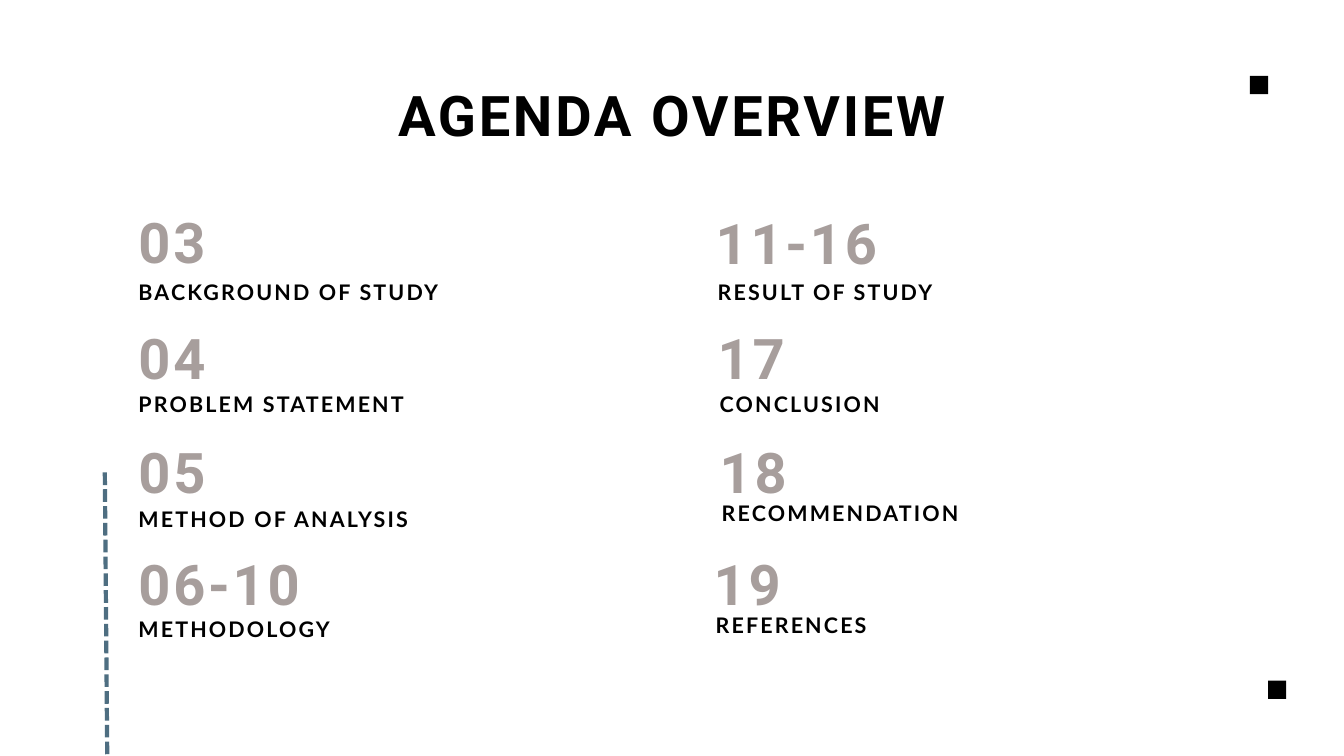
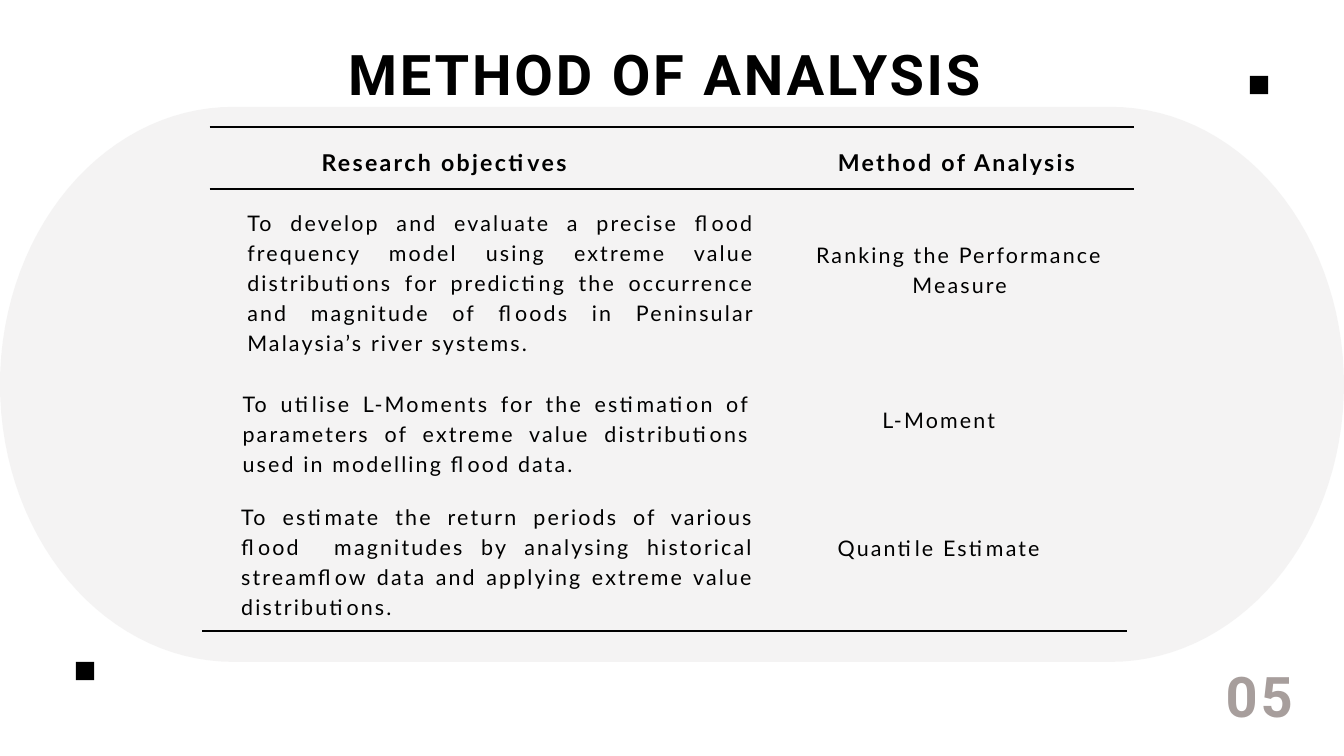
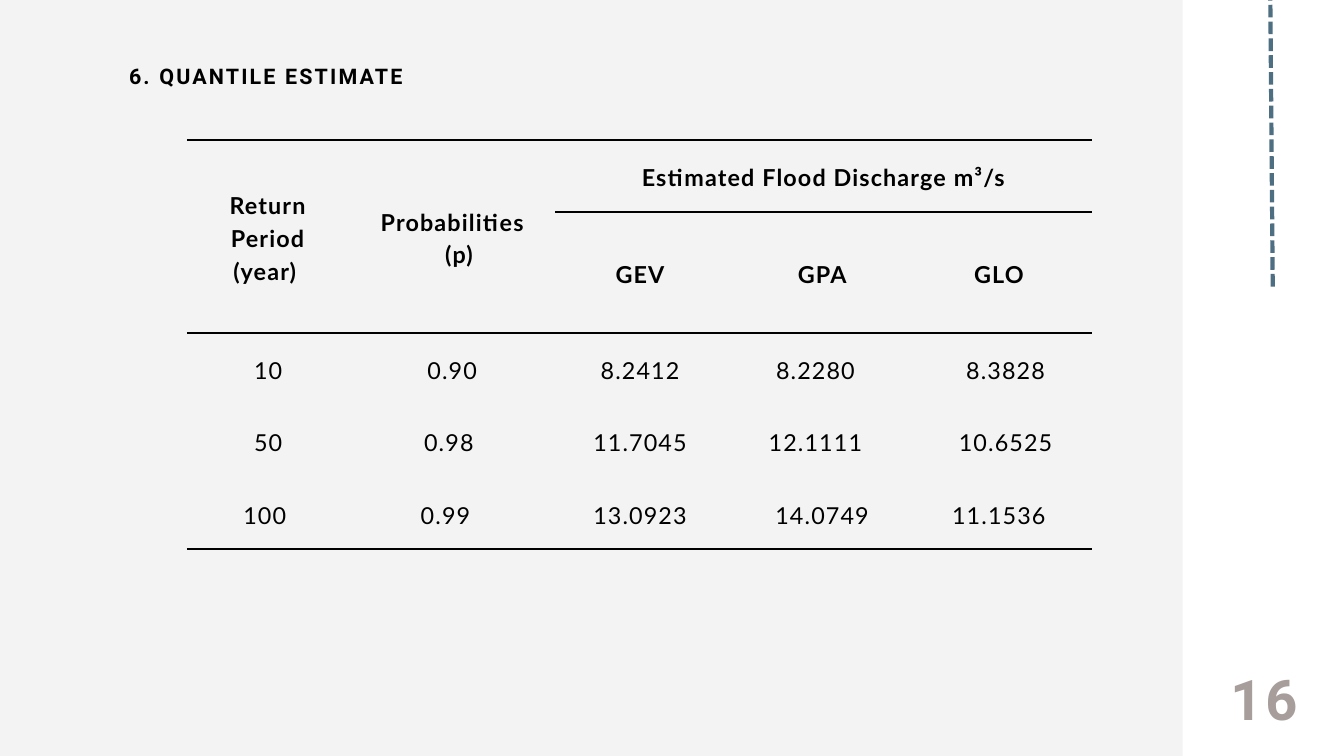
import math

import pptx
import pptx.dml.color
import pptx.enum.dml
import pptx.enum.shapes
import pptx.enum.text
import pptx.oxml
import pptx.oxml.ns
import pptx.util

SCALE = 9144
PAGE_WIDTH, PAGE_HEIGHT = 2000, 1125
COLORS = {"ink": "000000", "number": "A79E9C", "dash": "4E6E81", "panel": "F2F1F1"}
STYLES = {
    "title": ("Roboto", 60, True, 0.05, "ink"),
    "number": ("Roboto", 60, True, 0.05, "number"),
    "section": ("Roboto", 23, True, 0.1, "ink"),
    "topic": ("Lato", 23, True, 0.1, "ink"),
    "heading": ("Lato", 24.78, True, 0.1, "ink"),
    "body": ("Lato", 23.07, False, 0.1, "ink"),
    "last_body": ("Lato", 23, False, 0.1, "ink"),
    "table_head": ("Lato", 25, True, 0.05, "ink"),
    "table_body": ("Lato", 25, False, 0.05, "ink"),
}
ALIGN = pptx.enum.text.PP_ALIGN
SHAPE = pptx.enum.shapes.MSO_SHAPE

AGENDA = [
    ((206, 292), (0, 117), "03", "BACKGROUND OF STUDY"),
    ((206, 464), (0, 112), "04", "PROBLEM STATEMENT"),
    ((206, 635), (0, 111), "05", "METHOD OF ANALYSIS"),
    ((206, 801), (0, 110), "06-10", "METHODOLOGY"),
    ((1065, 293), (3, 116), "11-16", "RESULT OF STUDY"),
    ((1068, 464), (3, 112), "17", "CONCLUSION"),
    ((1071, 635), (3, 103), "18", "RECOMMENDATION"),
    ((1062, 801), (3, 103), "19", "REFERENCES"),
]
OBJECTIVES = [
    ((368, 306, 756, 224), "To develop and evaluate a precise flood frequency model using extreme "
     "value distributions for predicting the occurrence and magnitude of floods in Peninsular "
     "Malaysia’s river systems.", "body"),
    ((361, 575, 756, 134), "To utilise L-Moments for the estimation of parameters of extreme "
     "value distributions used in modelling flood data.", "body"),
    ((359, 743, 764, 175), "To estimate the return periods of various flood  magnitudes by "
     "analysing historical streamflow data and applying extreme value distributions.",
     "last_body"),
]
METHODS = [
    ((440, 214, 442, 46), "Research objectives", "heading"),
    ((1227, 214, 393, 46), "Method of Analysis", "heading"),
    ((1191, 353, 474, 89), "Ranking the Performance Measure", "body"),
    ((1295, 599, 204, 45), "L-Moment", "body"),
    ((1221, 790, 352, 45), "Quantile Estimate", "body"),
]
COLUMN_WIDTHS = [242, 306, 253, 289, 257]
ROW_HEIGHTS = [107, 110, 104, 111, 106]
QUANTILES = [
    ["Return Period (year) ", "Probabilities\n(p)", "Estimated Flood Discharge m³/s", "", ""],
    ["", "", "GEV", "GPA", "GLO"],
    ["10", "0.90", "8.2412", "8.2280", "8.3828"],
    ["50", "0.98", "11.7045", "12.1111", "10.6525"],
    ["100", "0.99", "13.0923", "14.0749", "11.1536"],
]
EXTRA_RIGHT = {(1, 4): 20, (2, 3): 20, (3, 1): 10, (3, 3): 20, (4, 0): 10, (4, 1): 20, (4, 4): 20}


def px(*lengths):
    """Turn px lengths into EMU."""
    return [pptx.util.Emu(round(length * SCALE)) for length in lengths]


def rgb(name):
    """Look up a named colour."""
    return pptx.dml.color.RGBColor.from_string(COLORS[name])


def style_paragraph(para, style, align):
    """Give a paragraph its font, tracking, line height and alignment."""
    name, size, bold, tracking, color = STYLES[style]
    para.alignment = align
    para.line_spacing = pptx.util.Pt(round(size * 1.4, 2))
    para.font.name = name
    para.font.size = pptx.util.Pt(size)
    para.font.bold = bold
    para.font.color.rgb = rgb(color)
    defaults = para._p.pPr.find(pptx.oxml.ns.qn("a:defRPr"))
    defaults.set("spc", str(round(size * tracking * 100)))


def add_text(page, box, text, style, align=ALIGN.LEFT):
    """Add a wrapped text box without insets."""
    frame = page.shapes.add_textbox(*px(*box)).text_frame
    frame.margin_left = frame.margin_top = frame.margin_right = frame.margin_bottom = 0
    frame.word_wrap = True
    frame.auto_size = pptx.enum.text.MSO_AUTO_SIZE.SHAPE_TO_FIT_TEXT
    frame.text = text
    style_paragraph(frame.paragraphs[0], style, align)


def add_line(page, start, end, color="ink", width=2.25, dash=None):
    """Add a straight line without shadow."""
    kind = pptx.enum.shapes.MSO_CONNECTOR.STRAIGHT
    line = page.shapes.add_connector(kind, *px(*start, *end))
    line.line.color.rgb = rgb(color)
    line.line.width = pptx.util.Pt(width)
    if dash:
        line.line.dash_style = dash
    effects = pptx.oxml.parse_xml("<a:effectLst %s/>" % pptx.oxml.ns.nsdecls("a"))
    line._element.spPr.append(effects)


def add_dashes(page, left, top):
    """Add the slightly slanted dashed line that bleeds off the page."""
    add_line(page, (left, top), (left + 4, top + 472), "dash", 4.5,
             pptx.enum.dml.MSO_LINE.SQUARE_DOT)


def fill_shape(shape, color, alpha=None):
    """Give a shape a plain fill, optionally translucent."""
    shape.shadow.inherit = False
    shape.line.fill.background()
    shape.fill.solid()
    shape.fill.fore_color.rgb = rgb(color)
    if alpha:
        value = shape._element.spPr.find(".//" + pptx.oxml.ns.qn("a:srgbClr"))
        value.append(pptx.oxml.parse_xml(
            '<a:alpha %s val="%d"/>' % (pptx.oxml.ns.nsdecls("a"), alpha * 1000)))


def add_square(page, left, top):
    """Add a small black corner square."""
    fill_shape(page.shapes.add_shape(SHAPE.RECTANGLE, *px(left, top, 27, 27)), "ink")


def add_capsule(page, box, bulge):
    """Add a translucent panel whose ends are half ellipses."""
    left, top, width, height = box
    points = []
    for center, start in ((left + width - bulge, -90), (left + bulge, 90)):
        for step in range(0, 181, 3):
            angle = math.radians(start + step)
            points.append((center + bulge * math.cos(angle),
                           top + height / 2 * (1 + math.sin(angle))))
    points = [tuple(px(*point)) for point in points]
    builder = page.shapes.build_freeform(*points[0])
    builder.add_line_segments(points[1:], close=True)
    fill_shape(builder.convert_to_shape(), "panel", 80)


def add_page_number(page, left, top, number):
    """Add the large page number at the lower right."""
    add_text(page, (left, top, 522, 118), number, "number")


def add_agenda_entry(page, origin, offset, number, topic):
    """Add an agenda number with its topic below."""
    left, top = origin
    add_text(page, (left, top, 522, 118), number, "number")
    add_text(page, (left + offset[0], top + offset[1], 522, 44), topic, "topic")


def is_ruled(edge, column):
    """Tell whether a horizontal table edge carries a rule."""
    return edge in (0, 2, len(ROW_HEIGHTS)) or (edge == 1 and column >= 2)


def set_borders(cell, top, bottom):
    """Draw the wanted horizontal borders and clear all others."""
    props = cell._tc.get_or_add_tcPr()
    rule = '<a:solidFill><a:srgbClr val="%s"/></a:solidFill>' % COLORS["ink"]
    sides = (("lnL", False), ("lnR", False), ("lnT", top), ("lnB", bottom))
    for position, (side, shown) in enumerate(sides):
        border = '<a:%s %s w="%d">%s</a:%s>' % (
            side, pptx.oxml.ns.nsdecls("a"), pptx.util.Pt(2.25) if shown else 0,
            rule if shown else "<a:noFill/>", side)
        props.insert(position, pptx.oxml.parse_xml(border))


def fill_cell(cell, row, column, text):
    """Write and style one table cell."""
    cell.fill.background()
    cell.vertical_anchor = pptx.enum.text.MSO_ANCHOR.MIDDLE
    cell.margin_left, cell.margin_top, cell.margin_bottom = px(17, 17, 18)
    cell.margin_right = px(17 + EXTRA_RIGHT.get((row, column), 0))[0]
    set_borders(cell, is_ruled(row, column), is_ruled(row + cell.span_height, column))
    if cell.is_spanned:
        return
    cell.text = text
    for para in cell.text_frame.paragraphs:
        style_paragraph(para, "table_head" if row < 2 else "table_body", ALIGN.CENTER)
    for para in cell.text_frame.paragraphs[1:]:
        para._p.pPr.set("marL", str(px(20)[0]))


def add_quantile_table(page, left, top):
    """Add the ruled table of quantile estimates."""
    box = px(left, top, sum(COLUMN_WIDTHS), sum(ROW_HEIGHTS))
    table = page.shapes.add_table(len(ROW_HEIGHTS), len(COLUMN_WIDTHS), *box).table
    table.first_row = table.horz_banding = False
    for column, width in zip(table.columns, px(*COLUMN_WIDTHS)):
        column.width = width
    for row, height in zip(table.rows, px(*ROW_HEIGHTS)):
        row.height = height
    for column in (0, 1):
        table.cell(0, column).merge(table.cell(1, column))
    table.cell(0, 2).merge(table.cell(0, 4))
    for row, texts in enumerate(QUANTILES):
        for column, text in enumerate(texts):
            fill_cell(table.cell(row, column), row, column, text)


def build_agenda(page):
    """Build the agenda overview."""
    add_square(page, 1860, 113)
    add_text(page, (206, 103, 1588, 118), "AGENDA OVERVIEW", "title", ALIGN.CENTER)
    for entry in AGENDA:
        add_agenda_entry(page, *entry)
    add_dashes(page, 156, 703)
    add_square(page, 1887, 1013)


def build_methods(page):
    """Build the page pairing objectives with methods."""
    add_capsule(page, (0, 159, PAGE_WIDTH, 826), 347)
    add_square(page, 113, 985)
    add_square(page, 1860, 113)
    add_text(page, (140, 42, 1698, 118), "METHOD OF ANALYSIS", "title", ALIGN.CENTER)
    for entries, align in ((OBJECTIVES, ALIGN.JUSTIFY), (METHODS, ALIGN.CENTER)):
        for box, text, style in entries:
            add_text(page, box, text, style, align)
    for left, top in ((312, 189), (312, 281), (301, 939)):
        add_line(page, (left, top), (left + 1376, top))
    add_page_number(page, 1824, 968, "05")


def build_quantiles(page):
    """Build the quantile estimate page."""
    panel = page.shapes.add_shape(SHAPE.RECTANGLE, *px(0, 0, 1760, PAGE_HEIGHT))
    fill_shape(panel, "panel", 80)
    add_dashes(page, 1890, -43)
    add_quantile_table(page, 278, 208)
    add_text(page, (192, 87, 522, 45), "6. QUANTILE ESTIMATE", "section")
    add_page_number(page, 1831, 972, "16")


def main():
    """Build and save the deck."""
    deck = pptx.Presentation()
    deck.slide_width, deck.slide_height = px(PAGE_WIDTH, PAGE_HEIGHT)
    for build in (build_agenda, build_methods, build_quantiles):
        build(deck.slides.add_slide(deck.slide_layouts[6]))
    deck.save("out.pptx")


if __name__ == "__main__":
    main()
